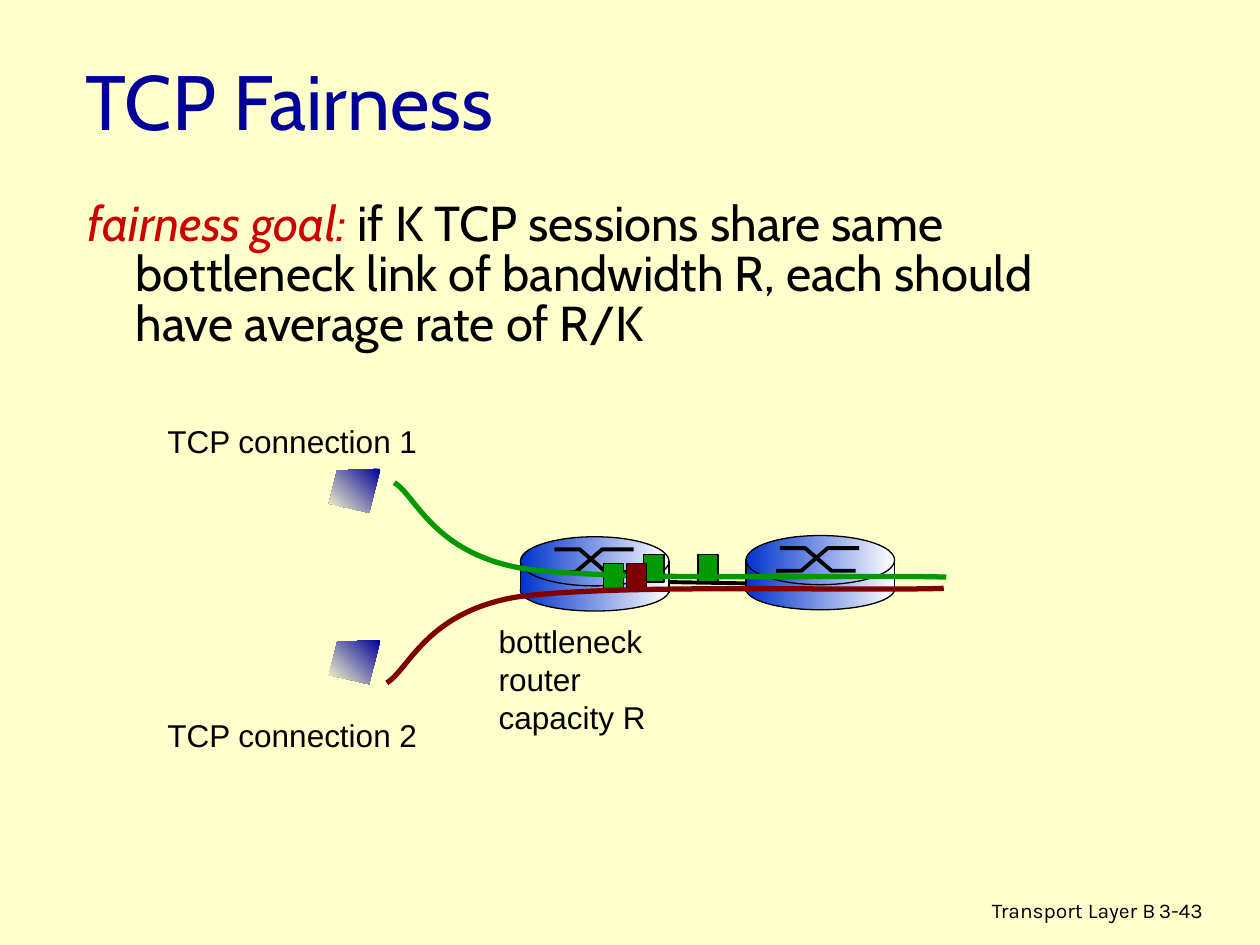
from lxml import etree
from pptx import Presentation
from pptx.dml.color import RGBColor
from pptx.enum.shapes import MSO_CONNECTOR, MSO_SHAPE
from pptx.enum.text import MSO_ANCHOR, MSO_AUTO_SIZE, PP_ALIGN
from pptx.oxml.ns import qn
from pptx.util import Inches, Pt

CREAM = RGBColor(0xFF, 0xFF, 0xCC)
WHITE = RGBColor(0xFF, 0xFF, 0xFF)
BLACK = RGBColor(0, 0, 0)
NAVY = RGBColor(0, 0, 0x99)
BLUE = RGBColor(0, 0x33, 0xCC)
RED = RGBColor(0xCC, 0, 0)
GREEN = RGBColor(0, 0x99, 0)
MAROON = RGBColor(0x80, 0, 0)

OVAL, RECTANGLE = MSO_SHAPE.OVAL, MSO_SHAPE.RECTANGLE
STRAIGHT = MSO_CONNECTOR.STRAIGHT
LEFT, RIGHT = PP_ALIGN.LEFT, PP_ALIGN.RIGHT
TOP, MIDDLE = MSO_ANCHOR.TOP, MSO_ANCHOR.MIDDLE
NO_FIT = MSO_AUTO_SIZE.NONE

TITLE_FONT = {"name": "Cabin", "size": Pt(44)}
BODY_FONT = {"name": "Cabin", "size": Pt(28)}
LABEL_FONT = {"name": "Arial", "size": Pt(18)}
FOOTER_FONT = {"name": "Karla", "size": Pt(12)}


def set_values(target, values):
    """Set every attribute named in a dict of format values."""
    for name, value in values.items():
        setattr(target, name, value)


def place(shape, box):
    """Move a shape to a box of left, top, width and height in inches."""
    set_values(shape, dict(zip(("left", "top", "width", "height"), map(Inches, box))))


def add_run(paragraph, text, font_values, color=BLACK):
    """Append a formatted run to a paragraph."""
    run = paragraph.add_run()
    run.text = text
    set_values(run.font, font_values)
    run.font.color.rgb = color


def add_text(slide, box, lines, font_values, alignment=LEFT):
    """Add a text box with one paragraph per line and return its frame."""
    frame = slide.shapes.add_textbox(*map(Inches, box)).text_frame
    set_values(frame, {"word_wrap": True, "auto_size": NO_FIT, "vertical_anchor": TOP})
    for index, line in enumerate(lines):
        paragraph = frame.add_paragraph() if index else frame.paragraphs[0]
        paragraph.alignment = alignment
        add_run(paragraph, line, font_values)
    return frame


def set_line(shape, color, width):
    """Give a shape an outline, or none when the width is zero."""
    if width:
        shape.line.color.rgb = color
        shape.line.width = Pt(width)
    else:
        shape.line.fill.background()


def set_gradient(shape, colors, angle):
    """Fill a shape with a two-colour linear gradient."""
    shape.fill.gradient()
    shape.fill.gradient_angle = angle
    for stop, color in zip(shape.fill.gradient_stops, colors):
        stop.color.rgb = color


def add_outline(shapes, points, close):
    """Build a freeform through points given in inches."""
    corners = [(Inches(x), Inches(y)) for x, y in points]
    builder = shapes.build_freeform(*corners[0])
    builder.add_line_segments(corners[1:], close=close)
    shape = builder.convert_to_shape()
    shape.shadow.inherit = False
    return shape


def add_line(shapes, start, end, width):
    """Add a straight black connector without a shadow."""
    line = shapes.add_connector(STRAIGHT, *map(Inches, (*start, *end)))
    set_line(line, BLACK, width)
    etree.SubElement(line._element.spPr, qn("a:effectLst"))


def add_title(slide, box):
    """Place and format the title placeholder."""
    title = slide.shapes.title
    place(title, box)
    set_values(title.text_frame, {"vertical_anchor": MIDDLE, "auto_size": NO_FIT, "word_wrap": True})
    paragraph = title.text_frame.paragraphs[0]
    paragraph.alignment = LEFT
    add_run(paragraph, "TCP Fairness", TITLE_FONT, NAVY)


def add_goal(slide, box):
    """Add the fairness goal with a hanging indent."""
    paragraph = add_text(slide, box, [], BODY_FONT).paragraphs[0]
    properties = paragraph._p.get_or_add_pPr()
    properties.set("marL", str(Inches(0.38)))
    properties.set("indent", str(-Inches(0.38)))
    paragraph.line_spacing = 0.85
    add_run(paragraph, "fairness goal:", {**BODY_FONT, "italic": True}, RED)
    add_run(paragraph, " if K TCP sessions share same bottleneck link of bandwidth R, "
            "each should have average rate of R/K", BODY_FONT)


def add_router(slide, box):
    """Draw a cylindrical router with crossed switching lines."""
    left, top, width, height = box
    shapes = slide.shapes.add_group_shape().shapes
    parts = ((OVAL, 0.26, 0.33, 0.75), (RECTANGLE, 0.23, 0.2, 0), (OVAL, 0, 0.39, 0.75))
    for kind, offset, part_height, line_width in parts:
        shape = shapes.add_shape(kind, *map(Inches, (left, top + offset, width, part_height)))
        shape.shadow.inherit = False
        set_gradient(shape, (BLUE, WHITE), 0)
        set_line(shape, BLACK, line_width)
    upper, lower = top + 0.1, top + 0.28
    for offsets, start, end in (((0.24, 0.44, 0.65, 0.9), lower, upper),
                                ((0.27, 0.47, 0.68, 0.87), upper, lower)):
        points = zip((left + offset for offset in offsets), (start, start, end, end))
        stroke = add_outline(shapes, points, close=False)
        stroke.fill.background()
        set_line(stroke, BLACK, 2.25)
    for x in (left, left + width):
        add_line(shapes, (x, top + 0.19), (x, top + height - 0.14), 0.75)


def add_host(slide, box):
    """Draw a tilted, shaded host inside the box."""
    left, top, width, height = box
    corners = ((1, 0), (0.16, 0.04), (0, 0.79), (0.78, 1))
    points = [(left + x * width, top + y * height) for x, y in corners]
    host = add_outline(slide.shapes, points, close=True)
    set_gradient(host, (NAVY, CREAM), 225)
    set_line(host, BLACK, 0)


def add_packet(slide, box, color):
    """Draw a packet on the link."""
    packet = slide.shapes.add_shape(RECTANGLE, *map(Inches, box))
    packet.shadow.inherit = False
    packet.fill.solid()
    packet.fill.fore_color.rgb = color
    set_line(packet, BLACK, 0.75)


def add_flow(slide, box, color, rising=False):
    """Draw a curved flow that bends into the shared link."""
    left, top, width, height = box
    fractions = ((0, 0), (0.04, 0.14), (0.07, 0.7), (0.23, 0.86),
                 (0.4, 1), (0.84, 0.92), (1, 0.95))
    points = [(left + x * width, top + (1 - y if rising else y) * height)
              for x, y in fractions]
    flow = add_outline(slide.shapes, points, close=False)
    flow.fill.background()
    set_line(flow, color, 3)
    segments = list(flow._element.iter(qn("a:lnTo")))
    outline = segments[0].getparent()
    for first in range(0, len(segments), 3):
        curve = etree.SubElement(outline, qn("a:cubicBezTo"))
        for segment in segments[first:first + 3]:
            curve.append(segment[0])
            outline.remove(segment)


def add_network(slide, box):
    """Draw two connections sharing the bottleneck link."""
    left, top, width, height = box

    def inside(x, y, *size):
        return (left + x, top + y, *size)

    add_line(slide.shapes, inside(4.08, 1.32), inside(4.69, 1.33), 2.25)
    for x, y in ((2.9, 0.96), (4.69, 0.95)):
        add_router(slide, inside(x, y, 1.18, 0.59))
    for x, y in ((4.31, 1.1), (3.56, 1.17), (3.88, 1.1)):
        add_packet(slide, inside(x, y, 0.16, 0.22), GREEN)
    add_flow(slide, inside(1.9, 0.53, 4.38, 0.79), GREEN)
    add_packet(slide, inside(3.74, 1.17, 0.16, 0.22), MAROON)
    add_flow(slide, inside(1.84, 1.33, 4.42, 0.79), MAROON, rising=True)
    for number, y in ((1, 0), (2, height - 0.4)):
        add_text(slide, inside(0, y, 2.19, 0.4), [f"TCP connection {number}"], LABEL_FONT)
    add_text(slide, inside(2.63, 1.59, 1.37, 1),
             ["bottleneck", "router", "capacity R"], LABEL_FONT)
    for y in (0.42, 1.78):
        add_host(slide, inside(1.38, y, 0.41, 0.35))


def add_footer(slide, box):
    """Add the chapter name and the page number."""
    left, top, width, height = box
    add_text(slide, (left, top, width - 0.57, height), ["Transport Layer B"], FOOTER_FONT, RIGHT)
    add_text(slide, (left + width - 0.74, top, 0.74, height), ["3-43"], FOOTER_FONT)


def main():
    """Build and save the slide."""
    presentation = Presentation()
    set_values(presentation, {"slide_width": Inches(10), "slide_height": Inches(7.5)})
    slide = presentation.slides.add_slide(presentation.slide_layouts.get_by_name("Title Only"))
    slide.background.fill.solid()
    slide.background.fill.fore_color.rgb = CREAM
    add_title(slide, (0.58, 0.17, 8.5, 1.25))
    add_goal(slide, (0.6, 1.55, 8.33, 2.4))
    add_network(slide, (1.23, 3.3, 6.28, 2.73))
    add_footer(slide, (6.1, 7.07, 3.74, 0.31))
    presentation.save("out.pptx")


if __name__ == "__main__":
    main()
